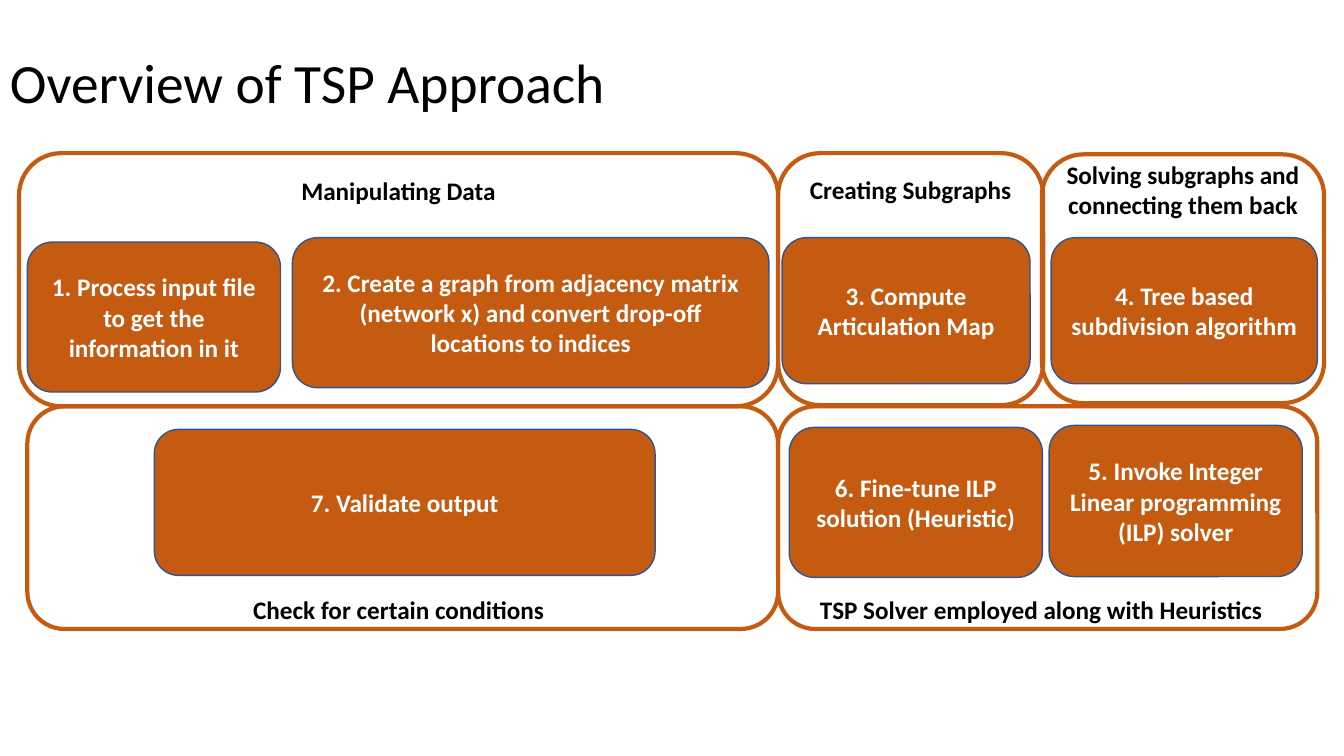
from pptx import Presentation
from pptx.dml.color import RGBColor
from pptx.enum.shapes import MSO_SHAPE
from pptx.enum.text import MSO_ANCHOR, MSO_AUTO_SIZE, PP_ALIGN
from pptx.util import Cm, Pt

COLORS = {"orange": "C55A11", "blue": "325491", "white": "FFFFFF", "black": "000000"}


def write_text(shape, text, size=18, bold=True, color="black", align=PP_ALIGN.CENTER,
               top=0.13, right=0.25, bottom=0.13, spacing=1.0):
    frame = shape.text_frame
    frame.auto_size = MSO_AUTO_SIZE.NONE
    frame.word_wrap = True
    frame.vertical_anchor = MSO_ANCHOR.MIDDLE
    frame.margin_left, frame.margin_right = Cm(0.25), Cm(right)
    frame.margin_top, frame.margin_bottom = Cm(top), Cm(bottom)
    paragraph = frame.paragraphs[0]
    paragraph.alignment = align
    paragraph.line_spacing = spacing
    run = paragraph.add_run()
    run.text = text
    run.font.name = "Calibri"
    run.font.size = Pt(size)
    run.font.bold = bold
    run.font.color.rgb = RGBColor.from_string(COLORS[color])


def add_box(box, text, fill=None, line="orange", width=3, **text_format):
    shape = slide.shapes.add_shape(MSO_SHAPE.ROUNDED_RECTANGLE, *[Cm(length) for length in box])
    shape.shadow.inherit = False
    if fill:
        shape.fill.solid()
        shape.fill.fore_color.rgb = RGBColor.from_string(COLORS[fill])
    else:
        shape.fill.background()
    shape.line.color.rgb = RGBColor.from_string(COLORS[line])
    shape.line.width = Pt(width)
    write_text(shape, text, **text_format)


presentation = Presentation()
presentation.slide_width, presentation.slide_height = Cm(33.87), Cm(19.05)
slide = presentation.slides.add_slide(presentation.slide_layouts[5])

title = slide.shapes.title
title.left, title.top, title.width, title.height = Cm(0), Cm(1.32), Cm(25.37), Cm(1.68)
write_text(title, "Overview of TSP Approach", size=39.6, bold=False,
           align=PP_ALIGN.LEFT, spacing=0.9)

lower_stages = [
    ((0.69, 10.24, 18.92, 5.61), "Check for certain conditions", 0.45),
    ((19.61, 10.24, 13.59, 5.61), "TSP Solver employed along with Heuristics", 0.58),
]
for box, caption, right in lower_stages:
    add_box(box, caption, top=4.65, bottom=0, right=right)

steps = [
    ((0.69, 6.1, 6.38, 3.78), "1. Process input file to get the information in it"),
    ((7.37, 5.99, 12.01, 3.78), "2. Create a graph from adjacency matrix (network x) "
                                "and convert drop-off locations to indices"),
    ((19.71, 5.99, 6.25, 3.68), "3. Compute Articulation Map"),
    ((26.49, 5.99, 6.71, 3.68), "4. Tree based subdivision algorithm"),
    ((26.44, 10.72, 6.38, 3.81), "5. Invoke Integer Linear programming (ILP) solver"),
    ((19.89, 10.77, 6.38, 3.78), "6. Fine-tune ILP solution (Heuristic)"),
    ((3.89, 10.82, 12.62, 3.68), "7. Validate output"),
]
for box, text in steps:
    add_box(box, text, fill="orange", line="blue", width=1, color="white")

upper_stages = [
    ((0.48, 3.86, 19.13, 6.38), "Manipulating Data"),
    ((19.61, 3.86, 6.68, 6.35), "Creating Subgraphs"),
    ((26.26, 3.89, 7.11, 6.27), "Solving subgraphs and connecting them back"),
]
for box, caption in upper_stages:
    add_box(box, caption, top=0, bottom=4.5)

presentation.save("out.pptx")
